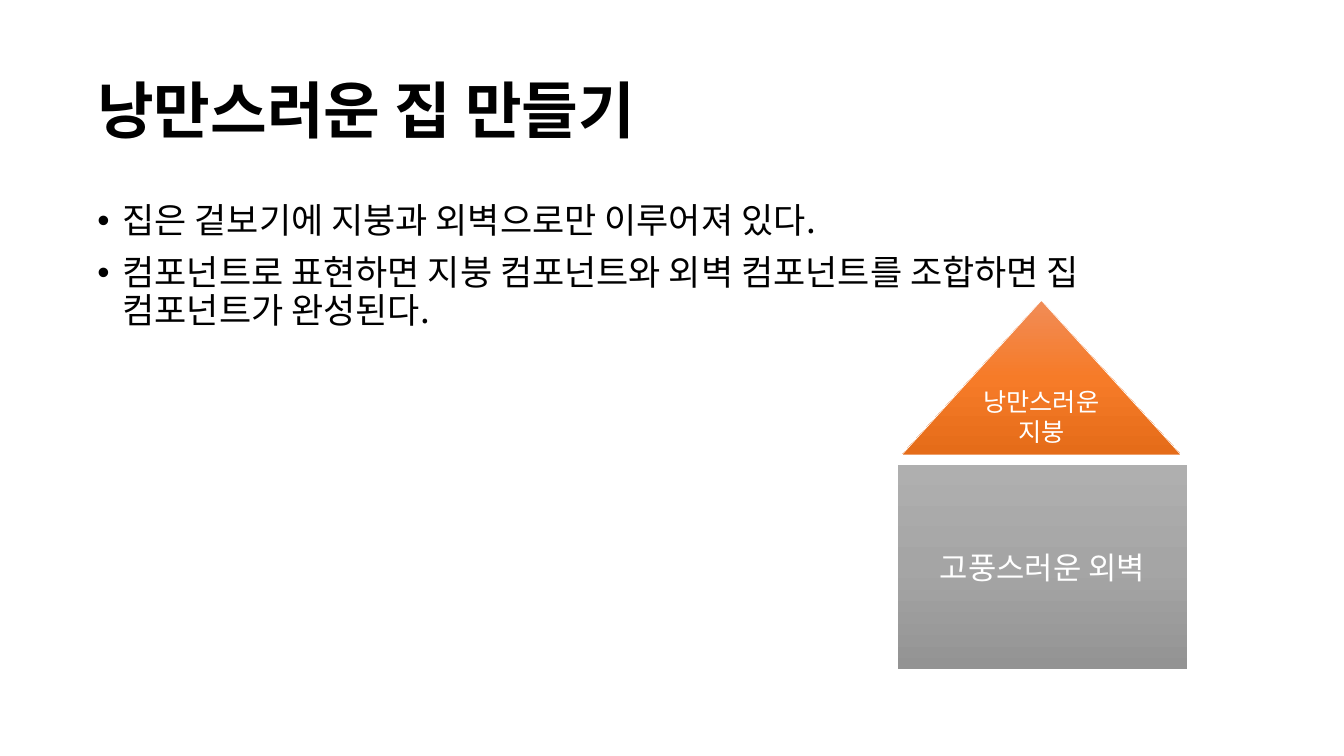
from dataclasses import dataclass

from lxml import etree
from pptx import Presentation
from pptx.dml.color import RGBColor
from pptx.enum.shapes import MSO_SHAPE as Preset
from pptx.enum.text import MSO_ANCHOR as Anchor, MSO_AUTO_SIZE as AutoSize, PP_ALIGN as Align
from pptx.oxml import parse_xml
from pptx.oxml.ns import nsdecls, qn
from pptx.slide import Slide
from pptx.util import Inches, Pt


@dataclass(frozen=True)
class Theme:
    text_font: str = "Noto Sans CJK KR"
    shape_font: str = "Calibri"
    ink: str = "000000"
    paper: str = "FFFFFF"
    roof: tuple[str, ...] = ("F18C57", "F67B28", "E56C19")
    wall: tuple[str, ...] = ("AFAFAF", "A5A5A5", "939393")
    title_size: int = 88
    body_size: int = 50
    roof_size: int = 36
    wall_size: int = 44


@dataclass(frozen=True)
class Box:
    left: float
    top: float
    width: float
    height: float

    def place(self, shape) -> None:
        shape.left, shape.top = Inches(self.left), Inches(self.top)
        shape.width, shape.height = Inches(self.width), Inches(self.height)


@dataclass(frozen=True)
class HousePart:
    label: str
    preset: Preset
    box: Box
    colors: tuple[str, ...]
    size: int


THEME = Theme()
WIDTH, HEIGHT = 26.67, 15
MARGIN = 1.83
CONTENT_WIDTH = WIDTH - 2 * MARGIN
TITLE_BOX = Box(MARGIN, 0.8, CONTENT_WIDTH, 2.9)
BODY_BOX = Box(MARGIN, 3.99, CONTENT_WIDTH, 9.52)
BULLETS = (
    "집은 겉보기에 지붕과 외벽으로만 이루어져 있다.",
    "컴포넌트로 표현하면 지붕 컴포넌트와 외벽 컴포넌트를 조합하면 집 컴포넌트가 완성된다.",
)
HOUSE = (
    HousePart("고풍스러운 외벽", Preset.RECTANGLE, Box(17.81, 9.22, 5.76, 4.06),
              THEME.wall, THEME.wall_size),
    HousePart("낭만스러운 지붕", Preset.ISOSCELES_TRIANGLE, Box(17.89, 5.96, 5.55, 3.07),
              THEME.roof, THEME.roof_size),
)


def format_runs(paragraph, font_name: str, size: int, color: str, bold: bool = False) -> None:
    for run in paragraph.runs:
        run.font.name = font_name
        run.font.size = Pt(size)
        run.font.bold = bold
        run.font.color.rgb = RGBColor.from_string(color)


def write_title(slide: Slide, text: str) -> None:
    title = slide.shapes.title
    TITLE_BOX.place(title)
    frame = title.text_frame
    frame.text = text
    frame.auto_size = AutoSize.NONE
    frame.vertical_anchor = Anchor.MIDDLE
    paragraph = frame.paragraphs[0]
    paragraph.alignment = Align.LEFT
    paragraph.line_spacing = 0.9
    format_runs(paragraph, THEME.text_font, THEME.title_size, THEME.ink, bold=True)


def write_bullets(slide: Slide, lines: tuple[str, ...]) -> None:
    body = slide.placeholders[1]
    BODY_BOX.place(body)
    frame = body.text_frame
    frame.text = "\n".join(lines)
    frame.auto_size = AutoSize.NONE
    for paragraph in frame.paragraphs:
        paragraph.line_spacing = 0.9
        paragraph.space_before = Pt(20)
        properties = paragraph._p.get_or_add_pPr()
        properties.set("marL", str(Inches(0.5)))
        properties.set("indent", str(Inches(-0.5)))
        etree.SubElement(properties, qn("a:buChar")).set("char", "•")
        format_runs(paragraph, THEME.text_font, THEME.body_size, THEME.ink)


def fill_gradient(shape, colors: tuple[str, ...]) -> None:
    step = 100000 // (len(colors) - 1)
    stops = "".join(
        f'<a:gs pos="{index * step}"><a:srgbClr val="{color}"/></a:gs>'
        for index, color in enumerate(colors)
    )
    gradient = parse_xml(
        f'<a:gradFill {nsdecls("a")}><a:gsLst>{stops}</a:gsLst>'
        '<a:lin ang="5400000" scaled="0"/></a:gradFill>'
    )
    shape._element.spPr.find(qn("a:prstGeom")).addnext(gradient)


def draw_part(slide: Slide, part: HousePart) -> None:
    shape = slide.shapes.add_shape(part.preset, 0, 0, 0, 0)
    part.box.place(shape)
    shape.shadow.inherit = False
    fill_gradient(shape, part.colors)
    shape.line.color.rgb = RGBColor.from_string(THEME.paper)
    shape.line.width = Pt(1)
    frame = shape.text_frame
    frame.text = part.label
    frame.word_wrap = True
    frame.vertical_anchor = Anchor.MIDDLE
    paragraph = frame.paragraphs[0]
    paragraph.alignment = Align.CENTER
    format_runs(paragraph, THEME.shape_font, part.size, THEME.paper)


def main() -> None:
    presentation = Presentation()
    presentation.slide_width, presentation.slide_height = Inches(WIDTH), Inches(HEIGHT)
    slide = presentation.slides.add_slide(presentation.slide_layouts[1])
    write_title(slide, "낭만스러운 집 만들기")
    write_bullets(slide, BULLETS)
    for part in HOUSE:
        draw_part(slide, part)
    presentation.save("out.pptx")


if __name__ == "__main__":
    main()
